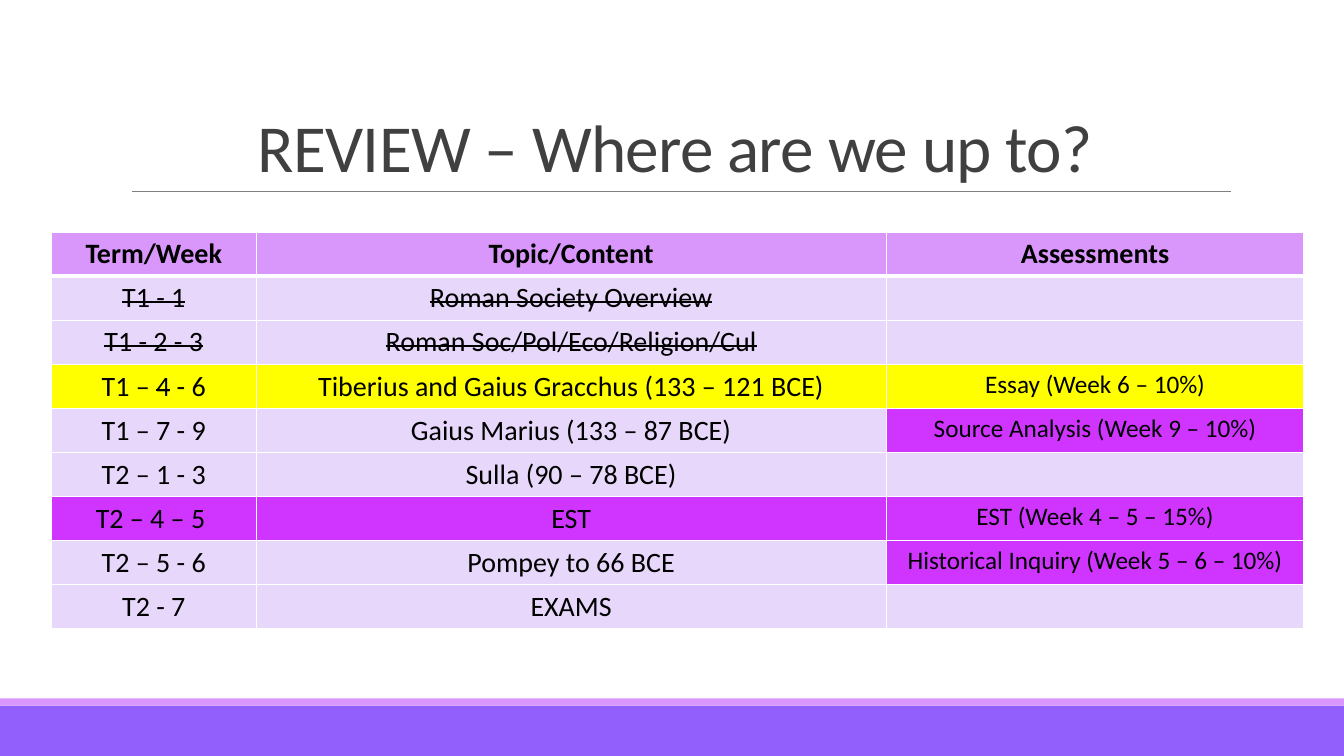
from dataclasses import dataclass

from lxml import etree
from pptx import Presentation, util as u
from pptx.dml.color import RGBColor
from pptx.enum import shapes, text
from pptx.oxml import ns

PX = 9525
FONT = "Calibri"
VIOLET = RGBColor(0x92, 0x5F, 0xFD)
ORCHID = RGBColor(0xDA, 0x97, 0xFB)
LAVENDER = RGBColor(0xE7, 0xD7, 0xFA)
MAGENTA = RGBColor(0xD0, 0x35, 0xFF)
YELLOW = RGBColor(0xFF, 0xFF, 0x00)
WHITE = RGBColor(0xFF, 0xFF, 0xFF)
BLACK = RGBColor(0, 0, 0)
GREY = RGBColor(0x80, 0x80, 0x80)
CHARCOAL = RGBColor(0x40, 0x40, 0x40)

COLUMN_WIDTHS = (195, 600, 398)
ROW_HEIGHT = 42
HEADINGS = ("Term/Week", "Topic/Content", "Assessments")


@dataclass(frozen=True)
class Unit:
    """One row of the plan; done is the part of each text that is struck out."""
    weeks: str
    topic: str
    assessment: str = ""
    fill: RGBColor = LAVENDER
    assessment_fill: RGBColor = LAVENDER
    done: tuple[str, str] = ("", "")


UNITS = (
    Unit("T1 - 1", "Roman Society Overview",
         done=("T1 - 1", "Roman Society Overview")),
    Unit("T1 - 2 - 3", "Roman Soc/Pol/Eco/Religion/Cul",
         done=("T1 - 2 - 3", "Roman Soc/Pol/Eco/Religion/Cul")),
    Unit("T1 – 4 - 6", "Tiberius and Gaius Gracchus (133 – 121 BCE)",
         "Essay (Week 6 – 10%)", YELLOW, YELLOW, done=("4", "")),
    Unit("T1 – 7 - 9", "Gaius Marius (133 – 87 BCE)",
         "Source Analysis (Week 9 – 10%)", assessment_fill=MAGENTA),
    Unit("T2 – 1 - 3", "Sulla (90 – 78 BCE)"),
    Unit("T2 – 4 – 5 ", "EST", "EST (Week 4 – 5 – 15%)", MAGENTA, MAGENTA),
    Unit("T2 – 5 - 6", "Pompey to 66 BCE",
         "Historical Inquiry (Week 5 – 6 – 10%)", assessment_fill=MAGENTA),
    Unit("T2 - 7", "EXAMS"),
)


def px(length: int) -> u.Emu:
    return u.Emu(length * PX)


def add_band(slide, top: int, height: int, color: RGBColor) -> None:
    band = slide.shapes.add_shape(
        shapes.MSO_SHAPE.RECTANGLE, 0, px(top), px(1280), px(height))
    band.shadow.inherit = False
    band.fill.solid()
    band.fill.fore_color.rgb = color
    band.line.fill.background()


def add_title_rule(slide) -> None:
    rule = slide.shapes.add_connector(
        shapes.MSO_CONNECTOR.STRAIGHT, px(126), px(182), px(1172), px(182))
    rule.line.color.rgb = GREY
    rule.line.width = u.Pt(0.5)
    etree.SubElement(rule._element.spPr, ns.qn("a:effectLst"))


def add_title(slide, title: str) -> None:
    frame = slide.shapes.add_textbox(
        px(115), px(30), px(1056), px(152)).text_frame
    frame.word_wrap = True
    frame.vertical_anchor = text.MSO_ANCHOR.BOTTOM
    paragraph = frame.paragraphs[0]
    paragraph.alignment = text.PP_ALIGN.CENTER
    paragraph.line_spacing = 0.85
    run = paragraph.add_run()
    run.text = title
    run._r.get_or_add_rPr().set("spc", "-50")
    set_font(paragraph, 48, CHARCOAL)


def set_font(paragraph, size: int, color: RGBColor, bold: bool = False) -> None:
    font = paragraph.font
    font.name, font.size, font.bold = FONT, u.Pt(size), bold
    font.color.rgb = color


def add_borders(cell, bottom: int) -> None:
    """Draw white cell edges, 1 pt except for the bottom one."""
    properties = cell._tc.get_or_add_tcPr()
    for side, width in (("L", 1), ("R", 1), ("T", 1), ("B", bottom)):
        edge = etree.SubElement(
            properties, ns.qn(f"a:ln{side}"), w=str(u.Pt(width)))
        solid = etree.SubElement(edge, ns.qn("a:solidFill"))
        etree.SubElement(solid, ns.qn("a:srgbClr"), val=str(WHITE))


def fill_cell(cell, content: str, fill: RGBColor, size: int = 20,
              done: str = "", heading: bool = False) -> None:
    add_borders(cell, 3 if heading else 1)
    cell.fill.solid()
    cell.fill.fore_color.rgb = fill
    paragraph = cell.text_frame.paragraphs[0]
    paragraph.alignment = text.PP_ALIGN.CENTER
    before, struck, after = content.partition(done) if done else (content, "", "")
    for part, strike in ((before, False), (struck, True), (after, False)):
        if part:
            run = paragraph.add_run()
            run.text = part
            if strike:
                run._r.get_or_add_rPr().set("strike", "sngStrike")
    set_font(paragraph, size, BLACK, heading)


def add_plan(slide) -> None:
    rows = len(UNITS) + 1
    plan = slide.shapes.add_table(
        rows, len(HEADINGS), px(49), px(221),
        px(sum(COLUMN_WIDTHS)), px(rows * ROW_HEIGHT)).table
    plan.horz_banding = False
    for column, width in zip(plan.columns, COLUMN_WIDTHS):
        column.width = px(width)
    for row in plan.rows:
        row.height = px(ROW_HEIGHT)
    for index, heading in enumerate(HEADINGS):
        fill_cell(plan.cell(0, index), heading, ORCHID, heading=True)
    for index, unit in enumerate(UNITS, start=1):
        weeks_done, topic_done = unit.done
        fill_cell(plan.cell(index, 0), unit.weeks, unit.fill, done=weeks_done)
        fill_cell(plan.cell(index, 1), unit.topic, unit.fill, done=topic_done)
        fill_cell(plan.cell(index, 2), unit.assessment,
                  unit.assessment_fill, size=18)


def main() -> None:
    deck = Presentation()
    deck.slide_width, deck.slide_height = px(1280), px(720)
    slide = deck.slides.add_slide(deck.slide_layouts[6])
    add_band(slide, 672, 48, VIOLET)
    add_band(slide, 665, 7, ORCHID)
    add_title_rule(slide)
    add_title(slide, "REVIEW – Where are we up to?")
    add_plan(slide)
    deck.save("out.pptx")


if __name__ == "__main__":
    main()
